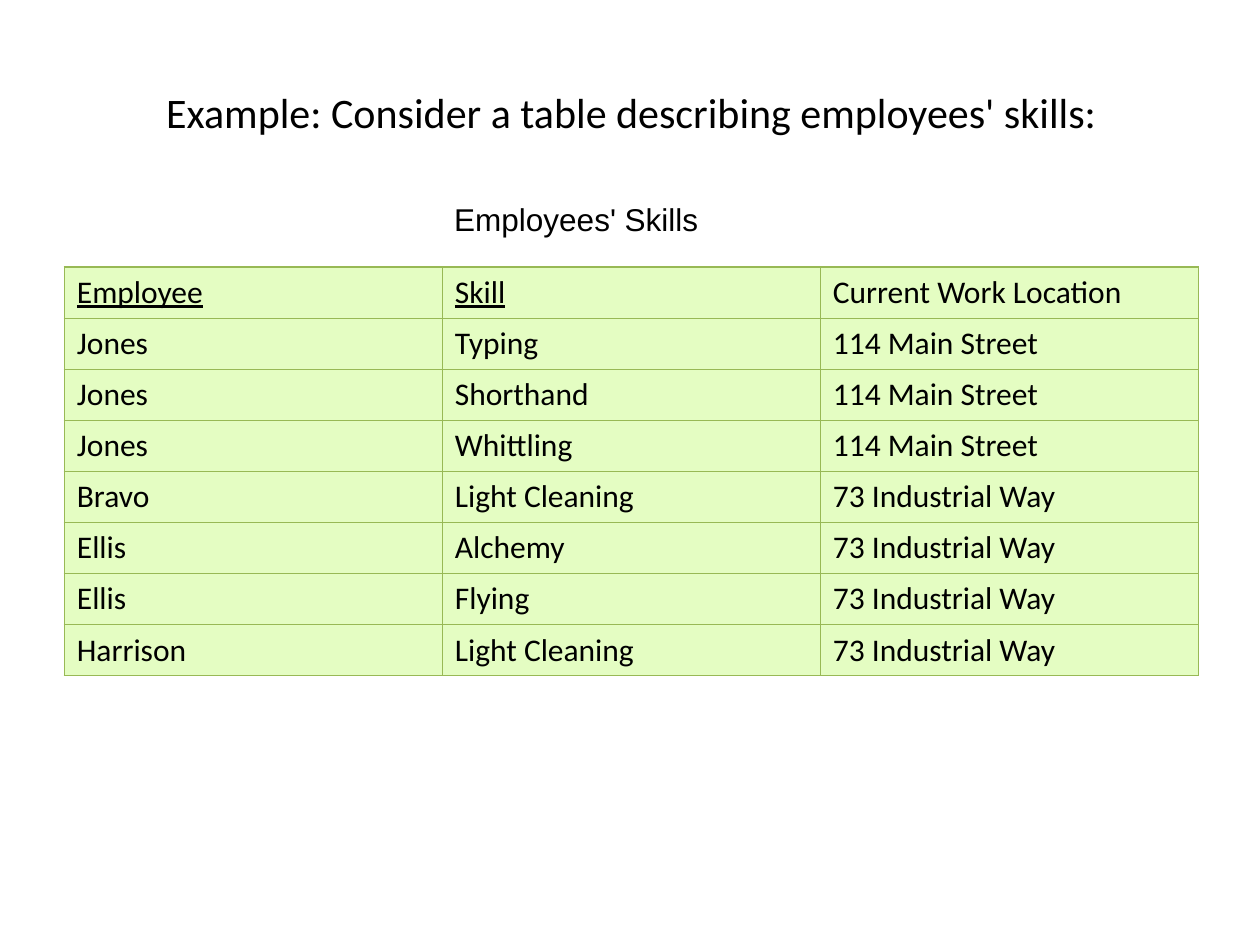
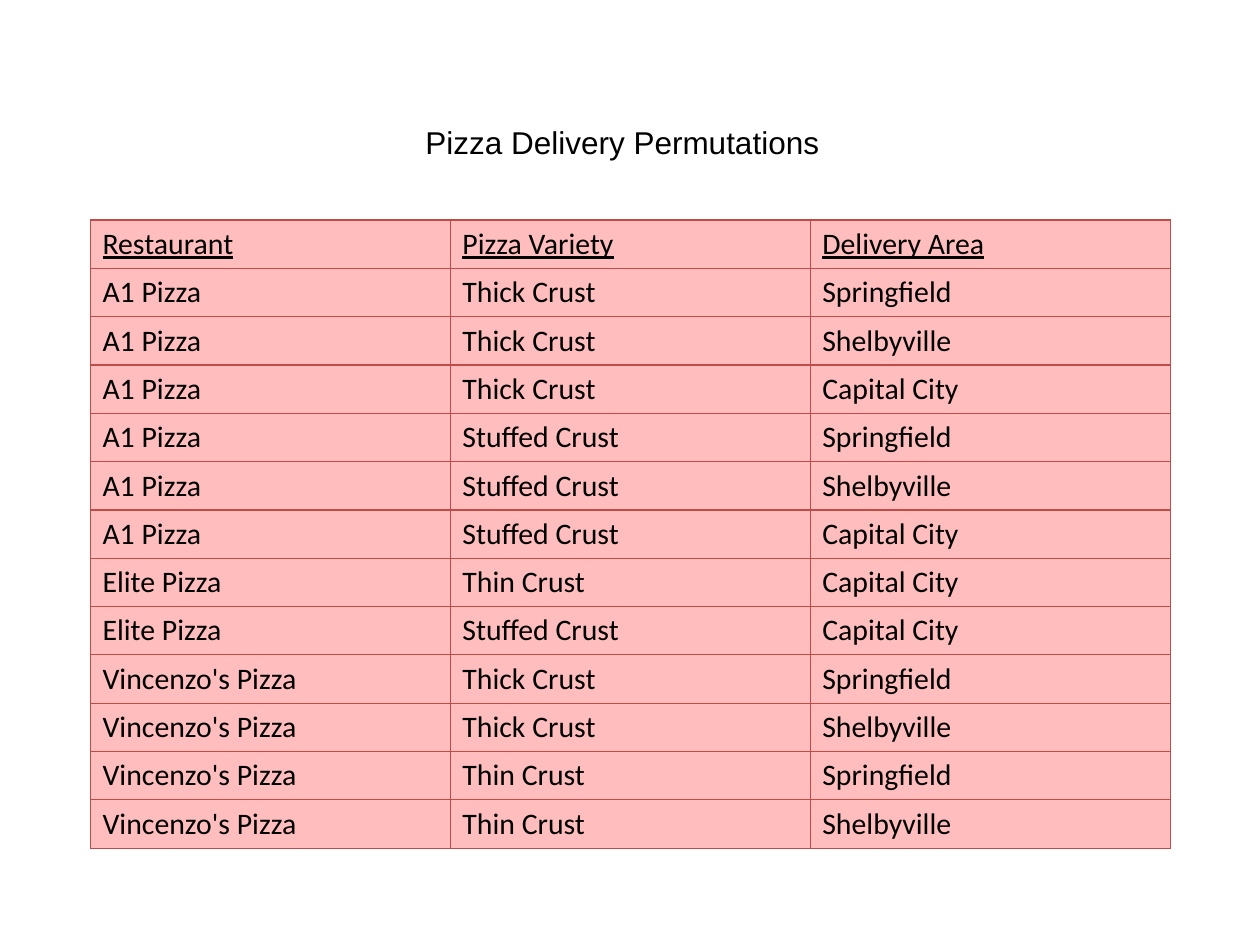
from dataclasses import dataclass

from lxml.etree import SubElement
from pptx import Presentation
from pptx.dml.color import RGBColor
from pptx.enum.text import MSO_ANCHOR, MSO_AUTO_SIZE, PP_ALIGN
from pptx.oxml import parse_xml
from pptx.oxml.ns import nsdecls, qn
from pptx.util import Pt


@dataclass(frozen=True)
class Theme:
    ink: str = "000000"
    green_fill: str = "E4FDC2"
    green_line: str = "98B955"
    red_fill: str = "FFBEBD"
    red_line: str = "BF4C48"
    body_font: str = "Calibri"
    caption_font: str = "Arial"
    title_size: float = 24
    caption_size: float = 18
    skills_size: float = 18
    pizza_size: float = 17
    border_width: float = 0.75


THEME = Theme()
TITLE_ONLY, BLANK = 5, 6

SKILLS = [
    ("Employee", "Skill", "Current Work Location"),
    ("Jones", "Typing", "114 Main Street"),
    ("Jones", "Shorthand", "114 Main Street"),
    ("Jones", "Whittling", "114 Main Street"),
    ("Bravo", "Light Cleaning", "73 Industrial Way"),
    ("Ellis", "Alchemy", "73 Industrial Way"),
    ("Ellis", "Flying", "73 Industrial Way"),
    ("Harrison", "Light Cleaning", "73 Industrial Way"),
]

DELIVERIES = [
    ("Restaurant", "Pizza Variety", "Delivery Area"),
    ("A1 Pizza", "Thick Crust", "Springfield"),
    ("A1 Pizza", "Thick Crust", "Shelbyville"),
    ("A1 Pizza", "Thick Crust", "Capital City"),
    ("A1 Pizza", "Stuffed Crust", "Springfield"),
    ("A1 Pizza", "Stuffed Crust", "Shelbyville"),
    ("A1 Pizza", "Stuffed Crust", "Capital City"),
    ("Elite Pizza", "Thin Crust", "Capital City"),
    ("Elite Pizza", "Stuffed Crust", "Capital City"),
    ("Vincenzo's Pizza", "Thick Crust", "Springfield"),
    ("Vincenzo's Pizza", "Thick Crust", "Shelbyville"),
    ("Vincenzo's Pizza", "Thin Crust", "Springfield"),
    ("Vincenzo's Pizza", "Thin Crust", "Shelbyville"),
]


def write_text(frame, text, *, size, font=THEME.body_font, color=THEME.ink,
               align=PP_ALIGN.LEFT, underline=False):
    paragraph = frame.paragraphs[0]
    paragraph.alignment = align
    run = paragraph.add_run()
    run.text = text
    run.font.name = font
    run.font.size = Pt(size)
    run.font.color.rgb = RGBColor.from_string(color)
    run.font.underline = underline


def set_title(slide, text, left, top, width, height):
    title = slide.shapes.title
    title.left, title.top = Pt(left), Pt(top)
    title.width, title.height = Pt(width), Pt(height)
    title.text_frame.vertical_anchor = MSO_ANCHOR.MIDDLE
    title.text_frame.auto_size = MSO_AUTO_SIZE.NONE
    write_text(title.text_frame, text, size=THEME.title_size, align=PP_ALIGN.CENTER)


def add_caption(slide, text, left, top, width, height=29):
    frame = slide.shapes.add_textbox(Pt(left), Pt(top), Pt(width), Pt(height)).text_frame
    frame.word_wrap = True
    frame.vertical_anchor = MSO_ANCHOR.MIDDLE
    write_text(frame, text, size=THEME.caption_size, font=THEME.caption_font)


def set_borders(cell, color):
    """Outline all four sides; the lines must precede the fill in the cell's XML."""
    properties = cell._tc.get_or_add_tcPr()
    for position, side in enumerate(("lnL", "lnR", "lnT", "lnB")):
        border = parse_xml(f'<a:{side} {nsdecls("a")} w="{Pt(THEME.border_width)}"/>')
        solid = SubElement(border, qn("a:solidFill"))
        SubElement(solid, qn("a:srgbClr"), val=color)
        properties.insert(position, border)


def add_relation(slide, rows, *, left, top, width, row_height, size, fill, line,
                 key_columns, side_margin, end_margin):
    """Draw a table whose first key_columns headings are underlined."""
    column_count = len(rows[0])
    table = slide.shapes.add_table(len(rows), column_count, Pt(left), Pt(top),
                                   Pt(width), Pt(row_height * len(rows))).table
    table.first_row = table.horz_banding = False
    for column in table.columns:
        column.width = Pt(width / column_count)
    for row_index, values in enumerate(rows):
        table.rows[row_index].height = Pt(row_height)
        for column_index, value in enumerate(values):
            cell = table.cell(row_index, column_index)
            cell.fill.solid()
            cell.fill.fore_color.rgb = RGBColor.from_string(fill)
            set_borders(cell, line)
            cell.vertical_anchor = MSO_ANCHOR.MIDDLE
            cell.margin_left = cell.margin_right = Pt(side_margin)
            cell.margin_top = cell.margin_bottom = Pt(end_margin)
            write_text(cell.text_frame, value, size=size,
                       underline=row_index == 0 and column_index < key_columns)


def add_skills_slide(deck):
    slide = deck.slides.add_slide(deck.slide_layouts[TITLE_ONLY])
    set_title(slide, "Example: Consider a table describing employees' skills:",
              36.75, 39, 648, 50)
    add_relation(slide, SKILLS, left=36.75, top=152.6, width=648, row_height=29.2,
                 size=THEME.skills_size, fill=THEME.green_fill, line=THEME.green_line,
                 key_columns=2, side_margin=7.2, end_margin=3.6)
    add_caption(slide, "Employees' Skills", 252.5, 110.5, 160.5)


def add_pizza_slide(deck):
    slide = deck.slides.add_slide(deck.slide_layouts[BLANK])
    add_relation(slide, DELIVERIES, left=51.75, top=125.75, width=617, row_height=27.62,
                 size=THEME.pizza_size, fill=THEME.red_fill, line=THEME.red_line,
                 key_columns=3, side_margin=6.85, end_margin=3.4)
    add_caption(slide, "Pizza Delivery Permutations", 236, 66.5, 247)


def main():
    deck = Presentation()
    deck.slide_width, deck.slide_height = Pt(720), Pt(540)
    add_skills_slide(deck)
    add_pizza_slide(deck)
    deck.save("out.pptx")


if __name__ == "__main__":
    main()
